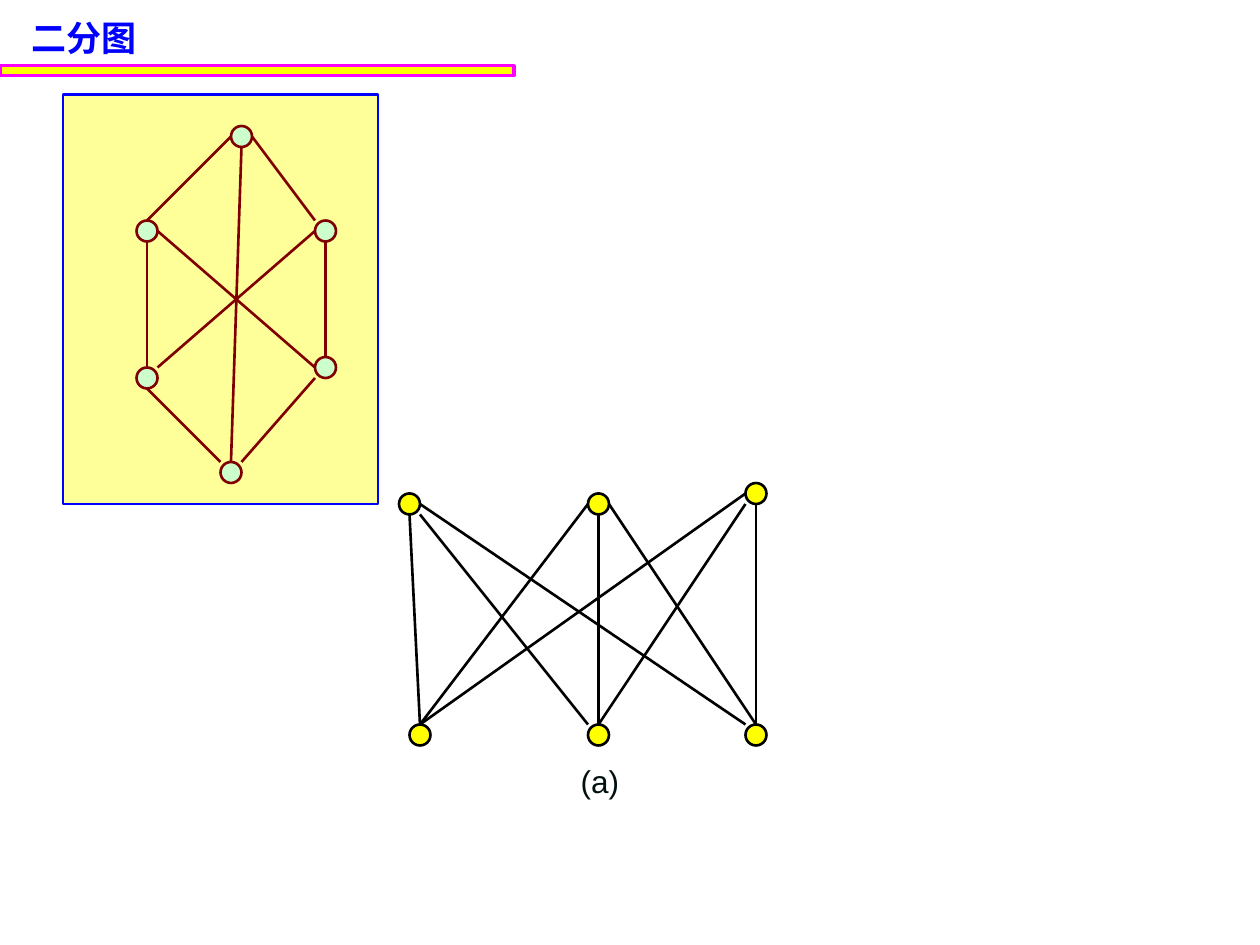
from pptx import Presentation
from pptx.dml.color import RGBColor
from pptx.enum.shapes import MSO_CONNECTOR, MSO_SHAPE
from pptx.enum.text import MSO_AUTO_SIZE
from pptx.oxml.ns import qn
from pptx.util import Inches, Pt
from lxml.etree import SubElement

COLORS = {
    "blue": "0000FF", "yellow": "FFFF00", "magenta": "FF00FF", "cream": "FFFF99",
    "mint": "CCFFCC", "maroon": "800000", "black": "000000", "caption": "001010",
}
GRID_PER_INCH = 12
NODE_CELLS = 2


def add_filled(shapes, preset, bounds, fill, line, width):
    shape = shapes.add_shape(preset, *map(Inches, bounds))
    shape.shadow.inherit = False
    shape.fill.solid()
    shape.fill.fore_color.rgb = RGBColor.from_string(COLORS[fill])
    shape.line.color.rgb = RGBColor.from_string(COLORS[line])
    shape.line.width = Pt(width)


def add_label(shapes, bounds, text, font, size, color, bold, wrap):
    box = shapes.add_textbox(*map(Inches, bounds))
    box.text_frame.word_wrap = wrap
    box.text_frame.auto_size = MSO_AUTO_SIZE.SHAPE_TO_FIT_TEXT
    span = box.text_frame.paragraphs[0].add_run()
    span.text = text
    span.font.name = font
    span.font.size = Pt(size)
    span.font.bold = bold
    span.font.color.rgb = RGBColor.from_string(COLORS[color])


deck = Presentation()
deck.slide_width, deck.slide_height = Inches(10), Inches(7.5)
page = deck.slides.add_slide(deck.slide_layouts[6])

add_filled(page.shapes, MSO_SHAPE.RECTANGLE, (0, 0.52, 4.08, 0.08), "yellow", "magenta", 1.75)
add_label(page.shapes, (0.15, 0.08, 2.68, 0.43), "二分图", "Times New Roman", 20, "blue", True, True)
add_filled(page.shapes, MSO_SHAPE.RECTANGLE, (0.5, 0.75, 2.5, 3.25), "cream", "blue", 1.5)

hexagon = {
    "fill": "mint", "line": "maroon",
    "nodes": [(22, 12), (13, 21), (30, 21), (13, 35), (30, 34), (21, 44)],
    "edges": [
        (23, 14, 22, 44), (22, 13, 14, 21), (24, 13, 30, 21),
        (14, 23, 14, 35), (14, 37, 21, 44), (23, 44, 30, 36),
        (31, 23, 31, 34), (15, 22, 30, 35), (15, 35, 30, 22),
    ],
}
bipartite = {
    "fill": "yellow", "line": "black",
    "nodes": [(38, 47), (56, 47), (71, 46), (39, 69), (56, 69), (71, 69)],
    "edges": [
        (39, 49, 40, 69), (40, 49, 56, 69), (40, 48, 71, 69),
        (56, 48, 40, 69), (57, 49, 57, 69), (58, 48, 72, 69),
        (40, 69, 71, 47), (57, 69, 71, 48), (72, 69, 72, 48),
    ],
}

for graph in (hexagon, bipartite):
    group = page.shapes.add_group_shape()
    for left, top in graph["nodes"]:
        bounds = [cell / GRID_PER_INCH for cell in (left, top, NODE_CELLS, NODE_CELLS)]
        add_filled(group.shapes, MSO_SHAPE.OVAL, bounds, graph["fill"], graph["line"], 1.5)
    for cells in graph["edges"]:
        ends = [Inches(cell / GRID_PER_INCH) for cell in cells]
        edge = group.shapes.add_connector(MSO_CONNECTOR.STRAIGHT, *ends)
        edge.line.color.rgb = RGBColor.from_string(COLORS[graph["line"]])
        edge.line.width = Pt(1.5)
        SubElement(edge._element.spPr, qn("a:effectLst"))

add_label(page.shapes, (4.51, 6, 0.52, 0.4), "(a)", "Arial", 18, "caption", False, False)

deck.save("out.pptx")
